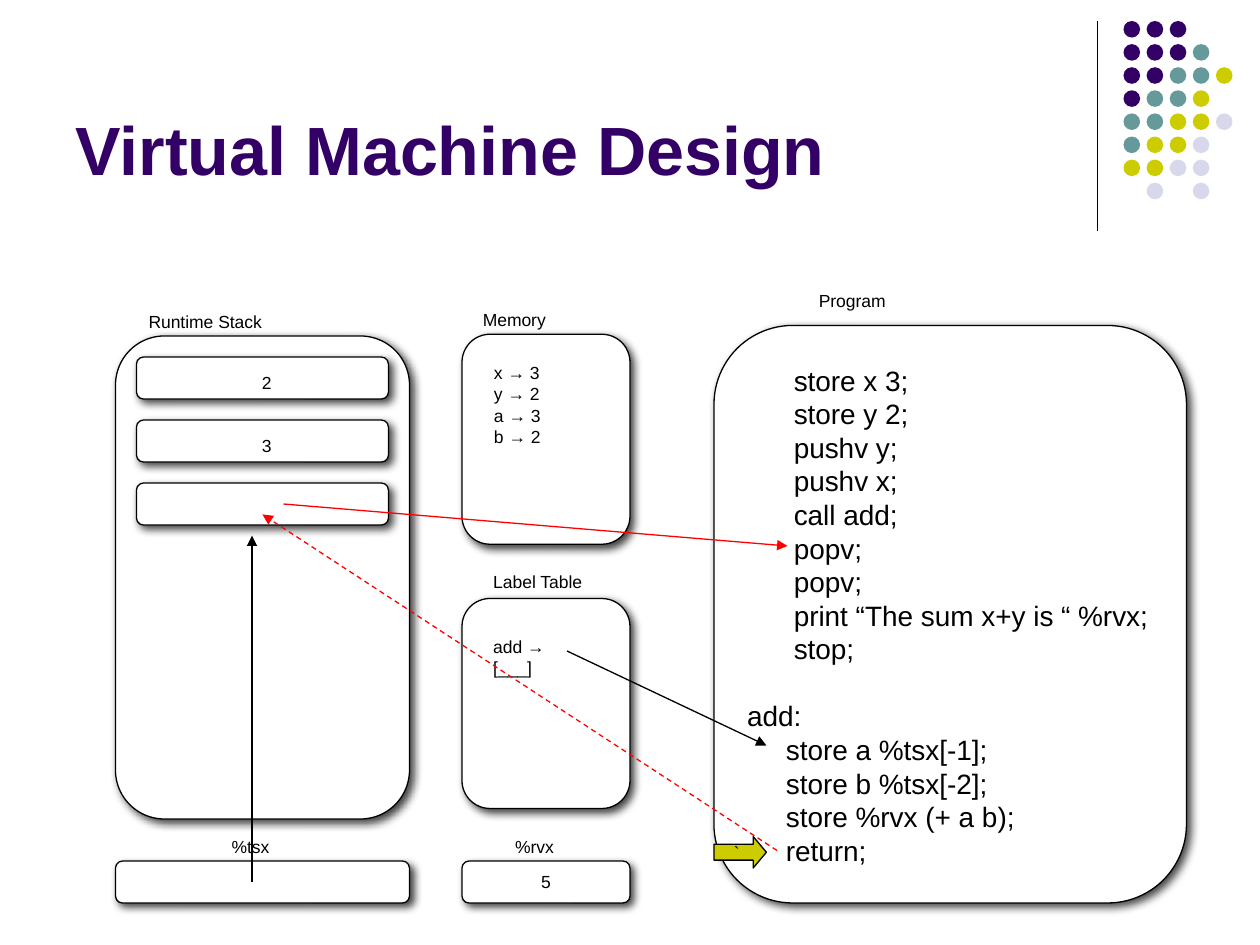
from typing import NamedTuple

from lxml import etree
from pptx import Presentation
from pptx.dml.color import RGBColor
from pptx.enum import dml, shapes, text
from pptx.oxml import ns
from pptx.util import Pt

BLACK, WHITE, PURPLE, TEAL, LIME, LILAC, RED = (
    "000000", "FFFFFF", "330066", "669999", "CCCC00", "D8D8EC", "FF0000")
DOT_COLORS = {"p": PURPLE, "t": TEAL, "y": LIME, "l": LILAC}
DOT_ROWS = ["ppp", "pppt", "pptty", "ptty", "ttyyl", "tyyl", "yyll", " l l"]
DOT_PITCH = 13.2
LINE_HEIGHT = 19.2


class Panel(NamedTuple):
    x: float
    y: float
    w: float
    h: float
    label: str = ""


class Label(NamedTuple):
    x: float
    y: float
    w: float
    label: str
    wrap: bool = False


class Arrow(NamedTuple):
    x1: float
    y1: float
    x2: float
    y2: float
    color: str = BLACK
    dashed: bool = False


class CodeLine(NamedTuple):
    label: str
    indent: float = 0
    before: float = 0


PANELS = [
    Panel(408, 186, 270, 330),
    Panel(264, 191, 96, 120),
    Panel(264, 342, 96, 120),
    Panel(264, 492, 96, 24, "5"),
    Panel(66, 192, 168, 276),
    Panel(66, 492, 168, 24),
    *[Panel(78, 204 + 36 * i, 144, 24) for i in range(3)],
]
LABELS = [
    Label(268.8, 172.8, 50.4, "Memory"),
    Label(274.8, 323, 67, "Label Table"),
    Label(460.8, 162, 52.6, "Program"),
    Label(77.8, 174.2, 79.2, "Runtime Stack"),
    Label(287.3, 474, 36.7, "%rvx"),
    Label(125.3, 474, 36, "%tsx"),
    Label(274.8, 360, 67.7, "add → [___]", True),
    *[Label(142.6, 208.8 + 36 * i, 20.2, value)
      for i, value in enumerate(["2", "3"])],
    *[Label(275.2, 203.2 + 12.25 * i, 48, value, True)
      for i, value in enumerate(["x → 3", "y → 2", "a → 3", "b → 2"])],
]
MAIN = ["store x 3;", "store y 2;", "pushv y;", "pushv x;", "call add;",
        "popv;", "popv;", "print “The sum x+y is “ %rvx;", "stop;"]
ADD = ["store a %tsx[-1];", "store b %tsx[-2];", "store %rvx (+ a b);", "return;"]
CODE = [
    *[CodeLine(line, 26.7) for line in MAIN],
    CodeLine("add:", before=LINE_HEIGHT),
    *[CodeLine(line, 22.2) for line in ADD],
]
ARROWS = [
    Arrow(324, 372, 438, 426),
    Arrow(144, 504, 144, 306),
    Arrow(162, 288, 450, 312, RED),
    Arrow(444, 486, 150, 294, RED, True),
]


def rgb(value: str) -> RGBColor:
    return RGBColor.from_string(value)


def style_runs(tf, size: float, color: str = BLACK, bold: bool = False) -> None:
    for p in tf.paragraphs:
        for r in p.runs:
            r.font.name = "Arial"
            r.font.size = Pt(size)
            r.font.bold = bold
            r.font.color.rgb = rgb(color)


def add_shape(s, kind, x: float, y: float, w: float, h: float,
              fill: str, outline: bool = True, label: str = ""):
    sp = s.shapes.add_shape(kind, Pt(x), Pt(y), Pt(w), Pt(h))
    sp.shadow.inherit = False
    sp.fill.solid()
    sp.fill.fore_color.rgb = rgb(fill)
    if outline:
        sp.line.color.rgb = rgb(BLACK)
        sp.line.width = Pt(0.75)
    else:
        sp.line.fill.background()
    if label:
        tf = sp.text_frame
        tf.text = label
        tf.word_wrap = False
        tf.vertical_anchor = text.MSO_ANCHOR.MIDDLE
        tf.paragraphs[0].alignment = text.PP_ALIGN.CENTER
        style_runs(tf, 10)
    return sp


def add_panel(s, panel: Panel) -> None:
    sp = add_shape(s, shapes.MSO_SHAPE.ROUNDED_RECTANGLE, panel.x, panel.y,
                   panel.w, panel.h, WHITE, label=panel.label)
    effects = sp._element.spPr.find(ns.qn("a:effectLst"))
    shadow = etree.SubElement(effects, ns.qn("a:outerShdw"), blurRad=str(Pt(5)),
                              dist=str(Pt(2.8)), dir="2700000", rotWithShape="0")
    color = etree.SubElement(shadow, ns.qn("a:srgbClr"), val=BLACK)
    etree.SubElement(color, ns.qn("a:alpha"), val="75000")


def add_text(s, x: float, y: float, w: float, h: float, wrap: bool = True):
    tf = s.shapes.add_textbox(Pt(x), Pt(y), Pt(w), Pt(h)).text_frame
    tf.word_wrap = wrap
    return tf


def add_label(s, item: Label) -> None:
    tf = add_text(s, item.x, item.y, item.w, 19.2, item.wrap)
    tf.text = item.label
    style_runs(tf, 10)


def add_code(s, lines: list[CodeLine]) -> None:
    tf = add_text(s, 419.8, 204, 244, 296)
    for i, line in enumerate(lines):
        p = tf.add_paragraph() if i else tf.paragraphs[0]
        p.text = line.label
        p.line_spacing = Pt(LINE_HEIGHT)
        p.space_before = Pt(line.before)
        pPr = p._p.get_or_add_pPr()
        pPr.set("marL", str(Pt(line.indent)))
        pPr.set("indent", "0")
    style_runs(tf, 16)


def add_line(s, line: Arrow, head: bool = True) -> None:
    c = s.shapes.add_connector(shapes.MSO_CONNECTOR.STRAIGHT, Pt(line.x1),
                               Pt(line.y1), Pt(line.x2), Pt(line.y2))
    c.line.color.rgb = rgb(line.color)
    c.line.width = Pt(0.75)
    if line.dashed:
        c.line.dash_style = dml.MSO_LINE.DASH
    if head:
        etree.SubElement(c.line._get_or_add_ln(), ns.qn("a:tailEnd"), type="triangle")
    etree.SubElement(c._element.spPr, ns.qn("a:effectLst"))


def main() -> None:
    prs = Presentation()
    prs.slide_width, prs.slide_height = Pt(720), Pt(540)
    s = prs.slides.add_slide(prs.slide_layouts[6])

    add_line(s, Arrow(627, 12, 627, 132), head=False)
    for row, dots in enumerate(DOT_ROWS):
        for col, key in enumerate(dots):
            if key in DOT_COLORS:
                add_shape(s, shapes.MSO_SHAPE.OVAL, 642 + col * DOT_PITCH,
                          12 + row * DOT_PITCH, 9.5, 9.5, DOT_COLORS[key], False)

    tf = add_text(s, 36, 9.4, 594, 102)
    tf.text = "Virtual Machine Design"
    tf.vertical_anchor = text.MSO_ANCHOR.BOTTOM
    style_runs(tf, 39, PURPLE, True)

    for panel in PANELS:
        add_panel(s, panel)
    for item in LABELS:
        add_label(s, item)
    add_code(s, CODE)
    pointer = add_shape(s, shapes.MSO_SHAPE.RIGHT_ARROW, 408, 478, 30, 18, LIME, label="`")
    pointer.adjustments[1] = 0.42
    for arrow in ARROWS:
        add_line(s, arrow)
    prs.save("out.pptx")


if __name__ == "__main__":
    main()
